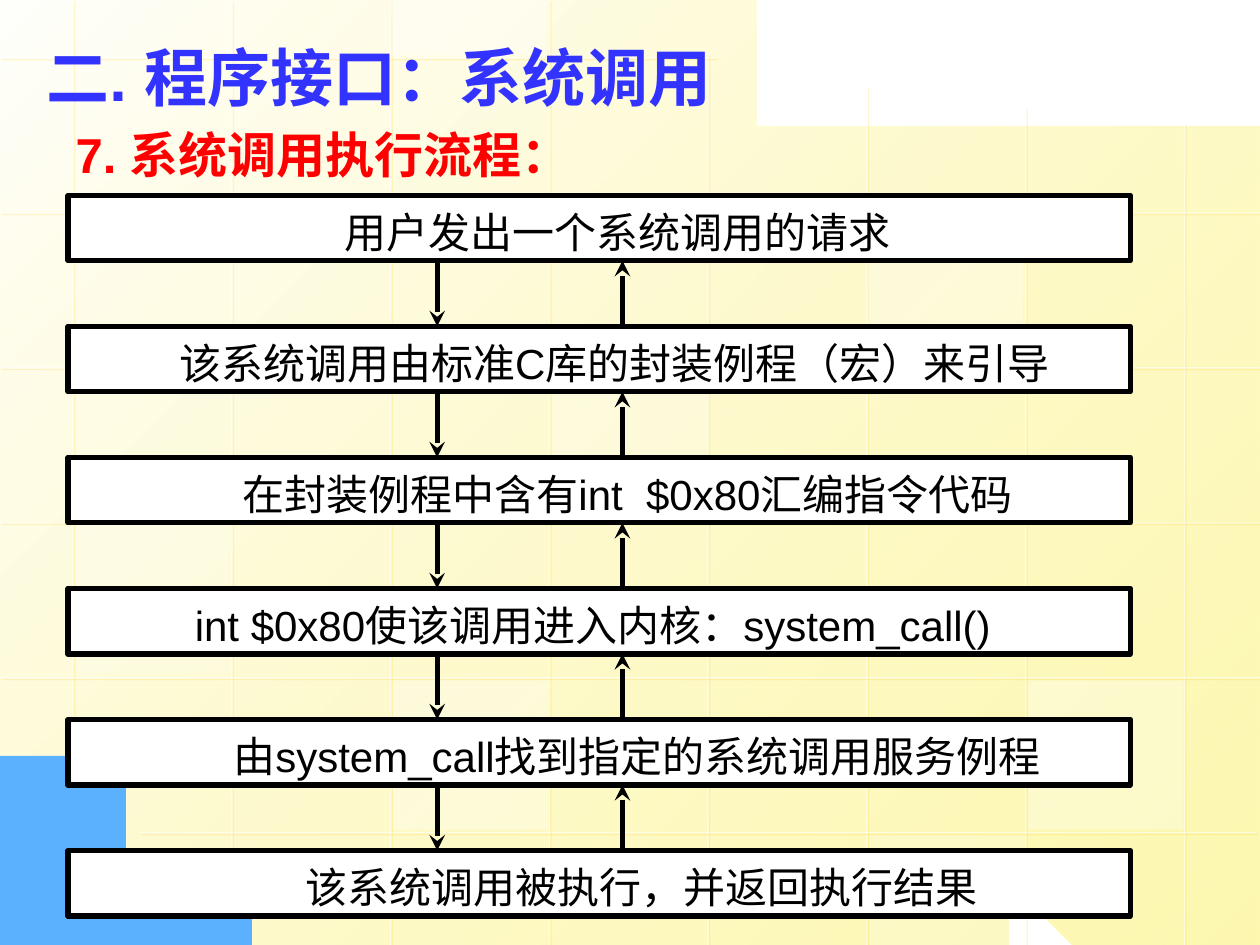
"""Build the slide on the execution flow of a system call."""
from lxml import etree
from pptx import Presentation
from pptx.dml.color import RGBColor
from pptx.enum.shapes import MSO_CONNECTOR, MSO_SHAPE
from pptx.enum.text import MSO_ANCHOR, PP_ALIGN
from pptx.oxml.ns import qn
from pptx.util import Inches, Pt

RECTANGLE, STRAIGHT = MSO_SHAPE.RECTANGLE, MSO_CONNECTOR.STRAIGHT
LEFT, CENTER, MIDDLE = PP_ALIGN.LEFT, PP_ALIGN.CENTER, MSO_ANCHOR.MIDDLE
LATIN, CHINESE = "Arial", "Noto Sans CJK SC"

TITLE = "二. 程序接口：系统调用"
SUBTITLE = "7. 系统调用执行流程："

# text, font, left inset, right inset
STEPS = [
    ("用户发出一个系统调用的请求", CHINESE, 0.39, 0.1),
    ("该系统调用由标准C库的封装例程（宏）来引导", LATIN, 0.34, 0.1),
    ("在封装例程中含有int  $0x80汇编指令代码", LATIN, 0.55, 0.1),
    ("int $0x80使该调用进入内核：system_call()", LATIN, 0.1, 0.2),
    ("由system_call找到指定的系统调用服务例程", LATIN, 0.7, 0.1),
    ("该系统调用被执行，并返回执行结果", LATIN, 0.77, 0.1),
]
STEP_LEFT, STEP_TOP, STEP_WIDTH, STEP_HEIGHT, STEP_PITCH = 0.54, 1.55, 8.43, 0.52, 1.04
DOWN_X, UP_X = 3.47, 4.94

BACKDROP = [
    (10, 1.04),
    [(10, 4.27), (10, 7.5), (10, 7.5)],
    [(10, 7.5), (6.15, 7.5), (2.3, 7.5)],
    [(0.86, 6.61), (-0.01, 5.39), (0, 5.39)],
    [(-0.01, -0.01)],
    [(4.21, 0.01)],
    [(4.21, 0.01), (5.37, 0.69), (10, 1.04)],
]
CORNER = [
    (0.01, 5.59),
    [(0.01, 7.5)],
    [(2.03, 7.5)],
    [(2.03, 7.5), (1.12, 7.09), (0.01, 5.59)],
]
COLUMN_SPANS = [(0, 6.09), (0, 7.19), (0, 7.5), (0, 7.52),
                (0.43, 7.52), (0.68, 7.52), (0.85, 7.52), (0.98, 7.52)]
ROW_SPANS = [(5.68, 0), (10.01, 0), (10.01, 0), (10.01, 0), (10.01, 0), (9.97, 1.11)]
FIRST_COLUMN, COLUMN_PITCH = 0.58, 1.26
FIRST_ROW, ROW_PITCH = 0.46, 1.23
# left, top, height, opacity
TILES = [
    (4.38, 2.94, 1.18, 25), (8.16, 5.4, 1.18, 30), (0.6, 4.16, 1.18, 20),
    (6.9, 6.63, 0.87, 20), (3.11, 0, 0.44, 40), (3.12, 5.4, 1.18, 30),
    (6.89, 1.71, 1.18, 30),
]
TILE_WIDTH = 1.23


def color(value):
    return RGBColor.from_string(value)


def set_opacity(parent, percent):
    last = list(parent.iter(qn("a:srgbClr")))[-1]
    etree.SubElement(last, qn("a:alpha"), val=str(percent * 1000))


def curve_points(start, controls, count=24):
    if len(controls) == 1:
        return controls
    anchors = [start, *controls]
    points = []
    for step in range(1, count + 1):
        t = step / count
        weights = ((1 - t) ** 3, 3 * t * (1 - t) ** 2, 3 * t * t * (1 - t), t ** 3)
        points.append(tuple(sum(w * a[axis] for w, a in zip(weights, anchors))
                            for axis in (0, 1)))
    return points


def add_outline(page, outline):
    points = [outline[0]]
    for controls in outline[1:]:
        points += curve_points(points[-1], controls)
    builder = page.shapes.build_freeform(*points[0], scale=Inches(1))
    builder.add_line_segments(points[1:], close=True)
    shape = builder.convert_to_shape()
    shape.shadow.inherit = False
    shape.line.fill.background()
    return shape


def add_box(page, left, top, width, height):
    box = page.shapes.add_shape(RECTANGLE, *map(Inches, (left, top, width, height)))
    box.shadow.inherit = False
    box.fill.solid()
    box.fill.fore_color.rgb = color("FFFFFF")
    box.line.fill.background()
    return box


def add_line(page, start, end, tint, width):
    line = page.shapes.add_connector(STRAIGHT, *map(Inches, (*start, *end)))
    line.line.color.rgb = color(tint)
    line.line.width = Pt(width)
    effects = etree.SubElement(line._element.spPr, qn("a:effectLst"))
    return line, effects


def add_grid_line(page, start, end):
    line, effects = add_line(page, start, end, "FFFFFF", 0.75)
    set_opacity(line.line._ln, 50)
    shadow = etree.SubElement(effects, qn("a:outerShdw"), blurRad="0",
                              dist=str(Pt(1.4)), dir="2700000", algn="ctr")
    etree.SubElement(shadow, qn("a:srgbClr"), val="FFCC00")
    set_opacity(shadow, 34)


def add_arrow(page, start, end):
    line, _ = add_line(page, start, end, "000000", 3)
    etree.SubElement(line.line._ln, qn("a:tailEnd"), type="stealth")


def write(box, text, size, tint, font=LATIN, bold=False, align=LEFT,
          left=0.1, right=0.1, top=0.05, bottom=0.05):
    frame = box.text_frame
    frame.word_wrap = True
    frame.vertical_anchor = MIDDLE
    frame.margin_left, frame.margin_right = Inches(left), Inches(right)
    frame.margin_top, frame.margin_bottom = Inches(top), Inches(bottom)
    para = frame.paragraphs[0]
    para.alignment = align
    para.line_spacing = 1.15
    span = para.add_run()
    span.text = text
    span.font.name, span.font.size, span.font.bold = font, Pt(size), bold
    span.font.color.rgb = color(tint)


def add_background(page):
    backdrop = add_outline(page, BACKDROP)
    backdrop.fill.gradient()
    backdrop.fill.gradient_angle = 315
    for stop, tint in zip(backdrop.fill.gradient_stops, ("FFFFFB", "FDF58D")):
        stop.color.rgb = color(tint)
    set_opacity(backdrop._element.spPr, 70)
    corner = add_outline(page, CORNER)
    corner.fill.solid()
    corner.fill.fore_color.rgb = color("5CB1FE")

    for index, (top, bottom) in enumerate(COLUMN_SPANS):
        x = FIRST_COLUMN + index * COLUMN_PITCH
        add_grid_line(page, (x, top), (x, bottom))
    for index, (right, left) in enumerate(ROW_SPANS):
        y = FIRST_ROW + index * ROW_PITCH
        add_grid_line(page, (right, y), (left, y))
    for left, top, height, opacity in TILES:
        tile = add_box(page, left, top, TILE_WIDTH, height)
        set_opacity(tile._element.spPr, opacity)


def add_flow(page):
    tops = [STEP_TOP + index * STEP_PITCH for index in range(len(STEPS))]
    for top, (text, font, left, right) in zip(tops, STEPS):
        box = add_box(page, STEP_LEFT, top, STEP_WIDTH, STEP_HEIGHT)
        box.line.color.rgb = color("000000")
        box.line.width = Pt(3)
        write(box, text, 24, "000000", font=font, align=CENTER, left=left, right=right)
    for top, following in zip(tops, tops[1:]):
        add_arrow(page, (DOWN_X, top + STEP_HEIGHT), (DOWN_X, following))
        add_arrow(page, (UP_X, following), (UP_X, top + STEP_HEIGHT))


def main():
    deck = Presentation()
    deck.slide_width, deck.slide_height = Inches(10), Inches(7.5)
    page = deck.slides.add_slide(deck.slide_layouts[6])
    add_background(page)
    title = page.shapes.add_textbox(*map(Inches, (0.27, 0.21, 9, 0.63)))
    write(title, TITLE, 36, "3333FF", bold=True, top=0.12)
    subtitle = page.shapes.add_textbox(*map(Inches, (0, 0.88, 10, 0.66)))
    write(subtitle, SUBTITLE, 28, "FF0000", bold=True, left=0.6, bottom=0.1)
    add_flow(page)
    deck.save("out.pptx")


if __name__ == "__main__":
    main()
